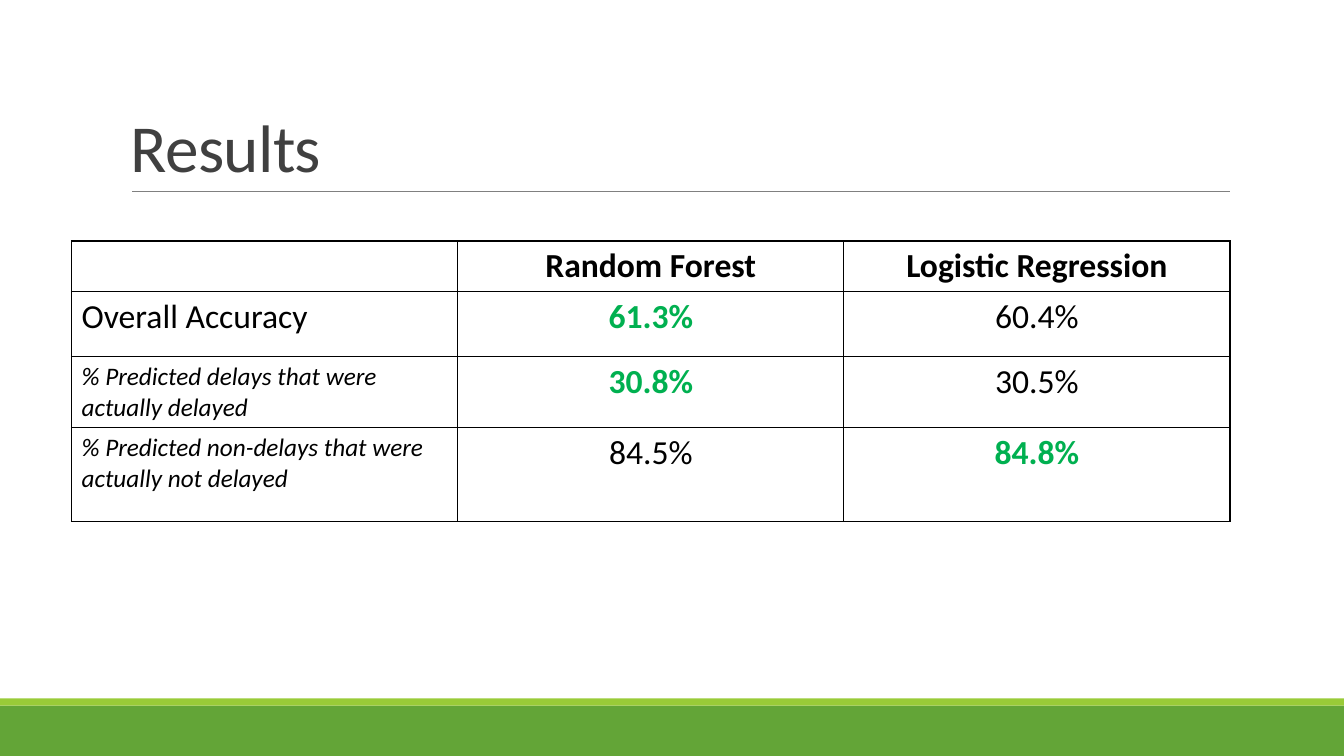
from lxml.etree import SubElement
from pptx import Presentation
from pptx.dml.color import RGBColor
from pptx.enum.shapes import MSO_CONNECTOR, MSO_SHAPE
from pptx.enum.text import MSO_ANCHOR, PP_ALIGN
from pptx.oxml.ns import qn
from pptx.util import Inches, Pt

FONT = "Calibri"
COLORS = {
    "band": "63A537", "stripe": "99CB38", "rule": "808080",
    "title": "404040", "text": "000000", "best": "00B050",
}
HEADERS = ["", "Random Forest", "Logistic Regression"]
RESULTS = [
    ("Overall Accuracy", 61.3, 60.4),
    ("% Predicted delays that were actually delayed", 30.8, 30.5),
    ("% Predicted non-delays that were actually not delayed", 84.5, 84.8),
]
ROW_HEIGHTS = [0.47, 0.65, 0.65, 0.93]


def rgb(name):
    """Return the named palette colour."""
    return RGBColor.from_string(COLORS[name])


def style(p, size, color="text", bold=False, italic=False, align=PP_ALIGN.LEFT):
    """Set the font and alignment of a paragraph."""
    p.alignment = align
    f = p.font
    f.name, f.size, f.bold, f.italic = FONT, Pt(size), bold, italic
    f.color.rgb = rgb(color)


def add_footer(s, left, top, width, height, stripe=0.07):
    """Draw the footer: a thin stripe above a solid band."""
    parts = [("band", top + stripe, height - stripe), ("stripe", top, stripe)]
    for name, y, h in parts:
        sp = s.shapes.add_shape(MSO_SHAPE.RECTANGLE, Inches(left), Inches(y),
                                Inches(width), Inches(h))
        sp.shadow.inherit = False
        sp.fill.solid()
        sp.fill.fore_color.rgb = rgb(name)
        sp.line.fill.background()


def add_title(s, text, left, top, width, height):
    """Write the title at the bottom of its box, with a rule below it."""
    bottom = Inches(top + height)
    line = s.shapes.add_connector(MSO_CONNECTOR.STRAIGHT, Inches(left + 0.11), bottom,
                                  Inches(left + width), bottom)
    line.line.color.rgb = rgb("rule")
    line.line.width = Pt(0.5)
    SubElement(line._element.spPr, qn("a:effectLst"))

    tf = s.shapes.add_textbox(Inches(left), Inches(top), Inches(width),
                              Inches(height)).text_frame
    tf.word_wrap = True
    tf.vertical_anchor = MSO_ANCHOR.BOTTOM
    p = tf.paragraphs[0]
    r = p.add_run()
    r.text = text
    r.font._element.set("spc", "-50")
    p.line_spacing = 0.85
    style(p, 48, "title")


def add_borders(cell):
    """Give a cell one-point borders on all sides, and no fill."""
    pr = cell._tc.get_or_add_tcPr()
    for side in ("lnL", "lnR", "lnT", "lnB"):
        ln = SubElement(pr, qn(f"a:{side}"), w=str(Pt(1)))
        fill = SubElement(ln, qn("a:solidFill"))
        SubElement(fill, qn("a:srgbClr"), val=COLORS["text"])
    cell.fill.background()


def add_results(s, left, top, width):
    """Build the model comparison table, with the best score of each row marked."""
    height = sum(ROW_HEIGHTS)
    table = s.shapes.add_table(len(ROW_HEIGHTS), len(HEADERS), Inches(left), Inches(top),
                               Inches(width), Inches(height)).table
    table.horz_banding = table.first_row = False
    for row, h in zip(table.rows, ROW_HEIGHTS):
        row.height = Inches(h)
    for i, row in enumerate([HEADERS, *RESULTS]):
        for j, value in enumerate(row):
            cell = table.cell(i, j)
            add_borders(cell)
            p = cell.text_frame.paragraphs[0]
            if i == 0:
                p.text = value
                style(p, 24, bold=True, align=PP_ALIGN.CENTER)
            elif j == 0:
                p.text = value
                detail = i > 1
                style(p, 18 if detail else 24, italic=detail)
            else:
                p.text = f"{value}%"
                best = value == max(row[1:])
                style(p, 24, "best" if best else "text", bold=best, align=PP_ALIGN.CENTER)


def main():
    """Build and save the slide."""
    prs = Presentation()
    prs.slide_width, prs.slide_height = Inches(13.33), Inches(7.5)
    s = prs.slides.add_slide(prs.slide_layouts[6])
    add_footer(s, 0, 6.93, 13.33, 0.57)
    add_title(s, "Results", 1.2, 0.31, 11, 1.59)
    add_results(s, 0.71, 2.39, 11.49)
    prs.save("out.pptx")


main()
